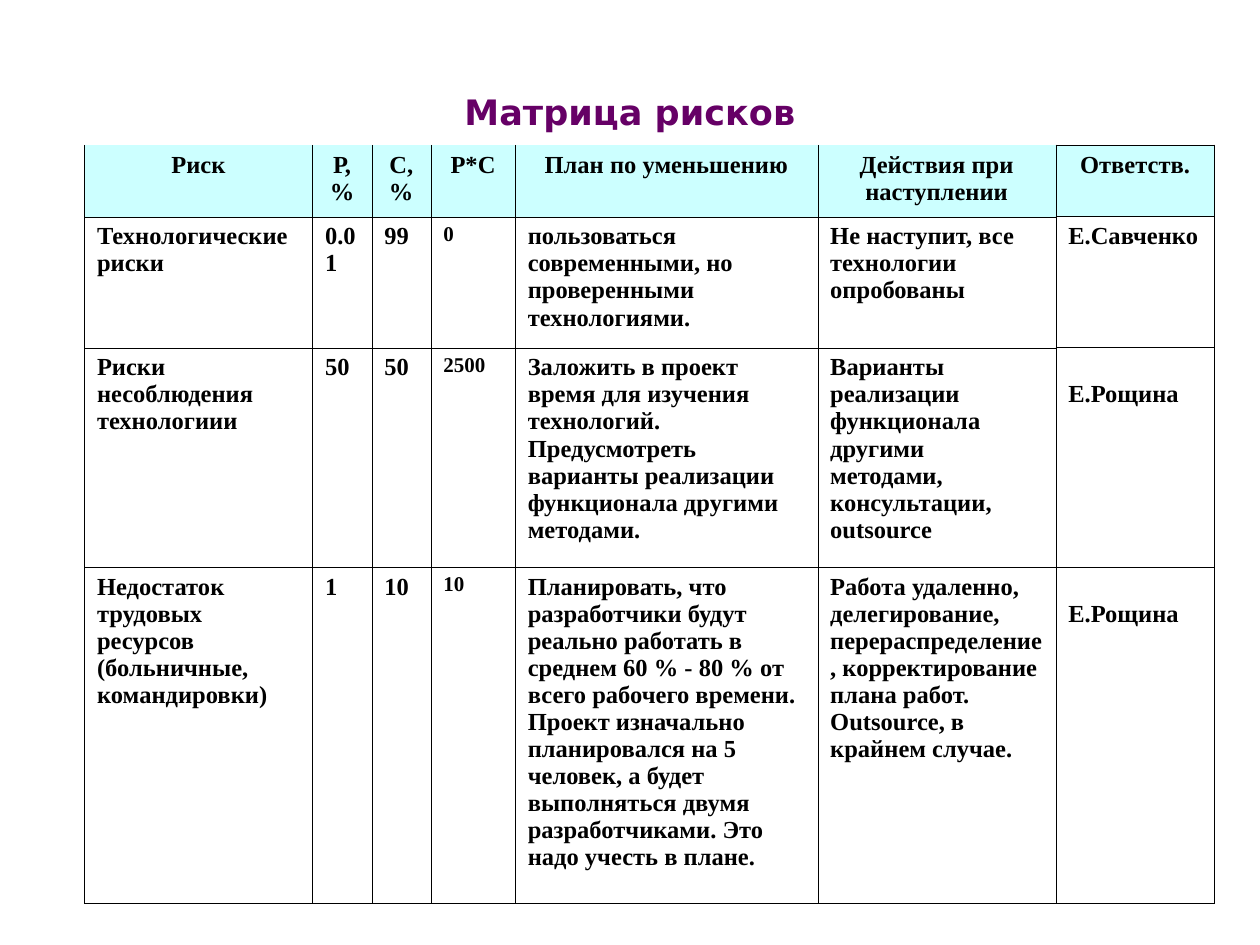
from dataclasses import dataclass

from lxml.etree import SubElement
from pptx import Presentation
from pptx.dml.color import RGBColor
from pptx.enum.text import MSO_ANCHOR, PP_ALIGN
from pptx.oxml.ns import qn
from pptx.util import Inches, Pt

PURPLE = RGBColor(0x66, 0x00, 0x66)
BLACK = RGBColor(0x00, 0x00, 0x00)
PALE_CYAN = RGBColor(0xCC, 0xFF, 0xFF)

SLIDE_WIDTH, SLIDE_HEIGHT = Inches(10), Inches(7.5)
COLUMN_WIDTHS = (1.81, 0.47, 0.47, 0.67, 2.4, 1.89, 1.26)
ROW_HEIGHTS = (0.57, 1.04, 1.74, 2.67)
PRODUCT_COLUMN, OWNER_COLUMN = 3, 6
HAIRLINE, THIN_LINE = 0.06, 0.45
CELL_MARGIN, LINE_HEIGHT = 0.05, 0.215

HEADERS = ("Риск", "Р, %", "С, %", "Р*С", "План по уменьшению",
           "Действия при наступлении", "Ответств.")


@dataclass(frozen=True)
class Risk:
    name: str
    probability: str
    cost: str
    product: str
    plan: str
    action: str
    owner: str
    owner_offset: int = 0  # lines the owner's name is moved down

    def texts(self) -> tuple[str, ...]:
        return (self.name, self.probability, self.cost, self.product,
                self.plan, self.action, self.owner)


RISKS = (
    Risk("Технологические риски", "0.01", "99", "0",
         "пользоваться современными, но проверенными технологиями.",
         "Не наступит, все технологии опробованы", "Е.Савченко"),
    Risk("Риски несоблюдения технологиии", "50", "50", "2500",
         "Заложить в проект время для изучения технологий. Предусмотреть "
         "варианты реализации функционала другими методами.",
         "Варианты реализации функционала другими методами, консультации, "
         "outsource", "Е.Рощина", owner_offset=1),
    Risk("Недостаток трудовых ресурсов (больничные, командировки)",
         "1", "10", "10",
         "Планировать, что разработчики будут реально работать в среднем "
         "60 % - 80 % от всего рабочего времени. Проект изначально "
         "планировался на 5 человек, а будет выполняться двумя "
         "разработчиками. Это надо учесть в плане.",
         "Работа удаленно, делегирование, перераспределение, корректирование "
         "плана работ. Outsource, в крайнем случае.", "Е.Рощина", owner_offset=1),
)


def write_text(frame, text: str, *, size: float = 14, font: str = "Times New Roman",
               color: RGBColor = BLACK, align=PP_ALIGN.LEFT) -> None:
    frame.word_wrap = True
    paragraph = frame.paragraphs[0]
    paragraph.alignment = align
    run = paragraph.add_run()
    run.text = text
    run.font.size, run.font.name, run.font.bold = Pt(size), font, True
    run.font.color.rgb = color


def set_borders(cell, **widths: float) -> None:
    """Draw the borders L, R, T and B in points; zero means no line."""
    properties = cell._tc.get_or_add_tcPr()
    for position, side in enumerate("LRTB"):
        width = widths[side]
        line = SubElement(properties, qn(f"a:ln{side}"), w=str(int(Pt(width))))
        properties.insert(position, line)
        if width:
            fill = SubElement(line, qn("a:solidFill"))
            SubElement(fill, qn("a:srgbClr"), val=str(BLACK))
        else:
            SubElement(line, qn("a:noFill"))


def format_cell(cell, row: int, column: int) -> None:
    if row == 0:
        cell.fill.solid()
        cell.fill.fore_color.rgb = PALE_CYAN
    else:
        cell.fill.background()
    is_owner, is_last = column == OWNER_COLUMN, row == len(RISKS)
    top = THIN_LINE if is_owner else HAIRLINE if row else 0
    bottom = THIN_LINE if is_owner and not is_last else HAIRLINE
    set_borders(cell, L=HAIRLINE, R=HAIRLINE, T=top, B=bottom)


def add_title(slide, text: str) -> None:
    box = slide.shapes.add_textbox(int(SLIDE_WIDTH * 0.075), int(SLIDE_HEIGHT * 0.09),
                                   int(SLIDE_WIDTH * 0.85), int(SLIDE_HEIGHT * 0.055))
    box.text_frame.vertical_anchor = MSO_ANCHOR.MIDDLE
    write_text(box.text_frame, text, size=20, font="DejaVu Sans",
               color=PURPLE, align=PP_ALIGN.CENTER)


def add_risk_table(slide) -> None:
    table = slide.shapes.add_table(
        len(ROW_HEIGHTS), len(COLUMN_WIDTHS), Inches(0.67), Inches(1.15),
        Inches(sum(COLUMN_WIDTHS)), Inches(sum(ROW_HEIGHTS))).table
    table.first_row = table.horz_banding = False
    for column, width in zip(table.columns, COLUMN_WIDTHS):
        column.width = Inches(width)
    for row, height in zip(table.rows, ROW_HEIGHTS):
        row.height = Inches(height)

    # Header row
    for column, text in enumerate(HEADERS):
        cell = table.cell(0, column)
        format_cell(cell, 0, column)
        write_text(cell.text_frame, text, align=PP_ALIGN.CENTER)

    # One row per risk
    for row, risk in enumerate(RISKS, start=1):
        for column, text in enumerate(risk.texts()):
            cell = table.cell(row, column)
            format_cell(cell, row, column)
            write_text(cell.text_frame, text, size=12 if column == PRODUCT_COLUMN else 14)
        owner_cell = table.cell(row, OWNER_COLUMN)
        owner_cell.margin_top = Inches(CELL_MARGIN + risk.owner_offset * LINE_HEIGHT)


def main() -> None:
    presentation = Presentation()
    presentation.slide_width, presentation.slide_height = SLIDE_WIDTH, SLIDE_HEIGHT
    slide = presentation.slides.add_slide(presentation.slide_layouts[6])
    add_title(slide, "Матрица рисков")
    add_risk_table(slide)
    presentation.save("out.pptx")


if __name__ == "__main__":
    main()
